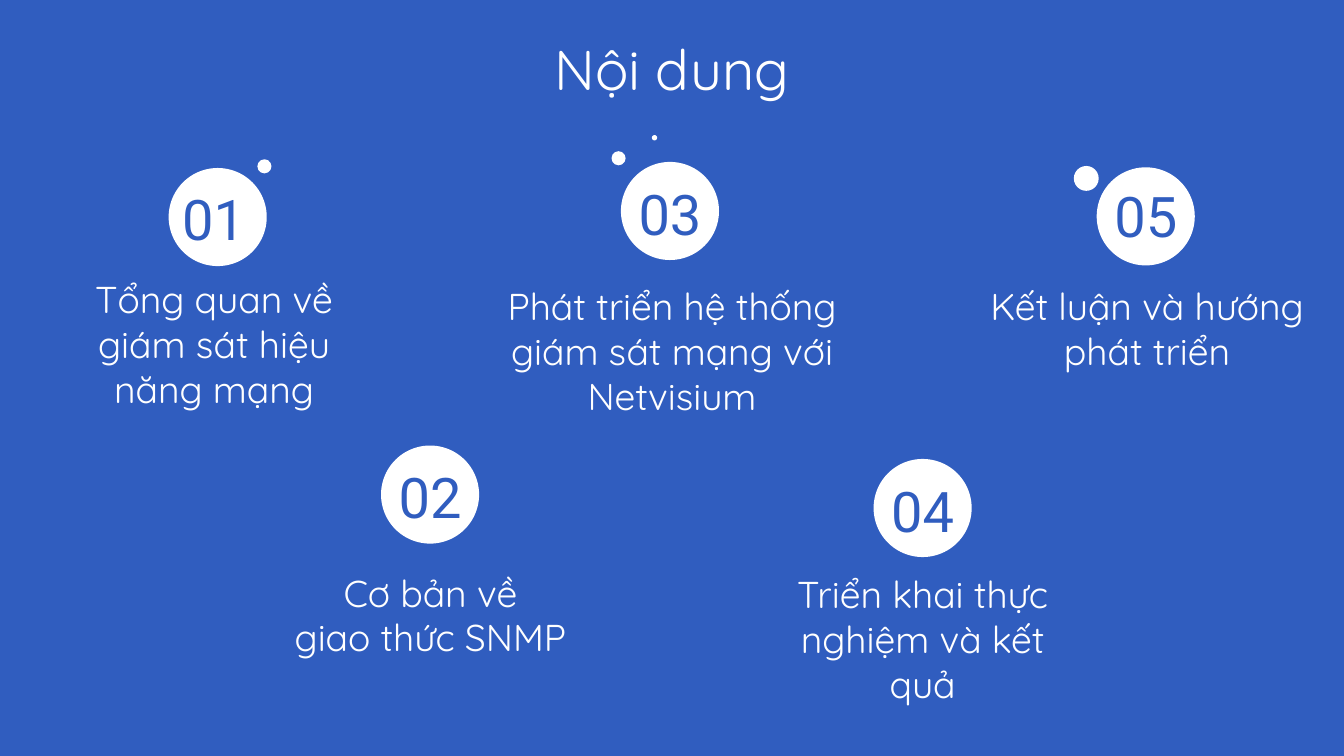
import pptx
import pptx.util
import pptx.dml.color
import pptx.enum.shapes
import pptx.enum.text

PX = 9144
BLUE = pptx.dml.color.RGBColor(0x30, 0x5D, 0xBF)
WHITE = pptx.dml.color.RGBColor(0xFF, 0xFF, 0xFF)
TOP = pptx.enum.text.MSO_ANCHOR.TOP
BOTTOM = pptx.enum.text.MSO_ANCHOR.BOTTOM
DISC = 146

prs = pptx.Presentation()
prs.slide_width = 2000 * PX
prs.slide_height = 1125 * PX
s = prs.slides.add_slide(prs.slide_layouts[6])
s.background.fill.solid()
s.background.fill.fore_color.rgb = BLUE


def add_circle(x, y, size):
    sp = s.shapes.add_shape(pptx.enum.shapes.MSO_SHAPE.OVAL,
                            x * PX, y * PX, size * PX, size * PX)
    sp.shadow.inherit = False
    sp.fill.solid()
    sp.fill.fore_color.rgb = WHITE
    sp.line.fill.background()


def add_text(box, lines, size, font, color, inset=20, anchor=TOP):
    sp = s.shapes.add_textbox(*(v * PX for v in box))
    tf = sp.text_frame
    tf.word_wrap = True
    tf.vertical_anchor = anchor
    tf.margin_left = tf.margin_right = inset * PX
    tf.margin_top = tf.margin_bottom = inset * PX
    tf.text = "\n".join(lines)
    for p in tf.paragraphs:
        p.alignment = pptx.enum.text.PP_ALIGN.CENTER
        p.font.size = pptx.util.Pt(size)
        p.font.name = font
        p.font.color.rgb = color


topics = [
    ("01", (251, 250), (245, 248), (103, 391, 431, 207),
     ["Tổng quan về giám sát hiệu năng mạng"]),
    ("02", (567, 663), (567, 663), (338, 828, 605, 210),
     ["Cơ bản về", "giao thức SNMP"]),
    ("03", (924, 241), (924, 241), (709, 402, 582, 207),
     ["Phát triển hệ thống giám sát mạng với Netvisium"]),
    ("04", (1300, 683), (1300, 683), (1161, 830, 424, 210),
     ["Triển khai thực nghiệm và kết quả"]),
    ("05", (1632, 249), (1632, 244), (1442, 402, 530, 92),
     ["Kết luận và hướng phát triển"]),
]
for number, disc, label, box, lines in topics:
    add_circle(*disc, DISC)
    add_text((*label, DISC, DISC), [number], 60, "Roboto", BLUE, anchor=BOTTOM)
    add_text(box, lines, 40, "Quicksand", WHITE)

for x, y, size in [(383, 237, 21), (970, 201, 8), (1598, 247, 37), (910, 225, 21)]:
    add_circle(x, y, size)

add_text((68, 41, 1864, 125), ["Nội dung"], 60, "Quicksand", WHITE, inset=10)

prs.save("out.pptx")
